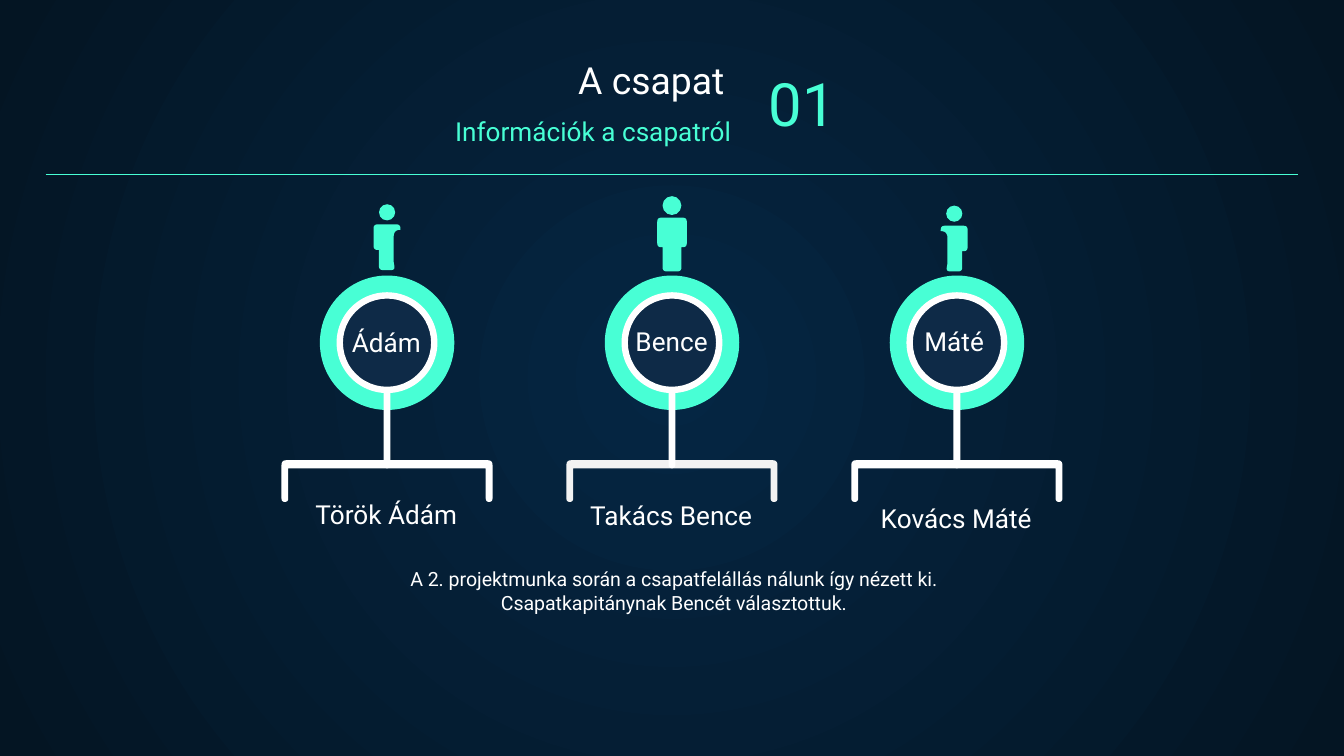
from math import dist
from typing import NamedTuple

from lxml.etree import SubElement
from pptx import Presentation
from pptx.dml.color import RGBColor
from pptx.enum.shapes import MSO_CONNECTOR, MSO_SHAPE
from pptx.enum.text import MSO_ANCHOR, PP_ALIGN
from pptx.oxml.ns import qn
from pptx.util import Inches, Pt


class Theme(NamedTuple):
    mint: str = "48FFD5"
    white: str = "FFFFFF"
    pale: str = "F2F2F2"
    navy: str = "0E2A47"
    glow: str = "052643"
    edge: str = "041523"
    font: str = "Roboto"
    small: float = 10.5
    body: float = 14
    title: float = 20
    number: float = 32
    line: float = 0.75


class Box(NamedTuple):
    left: float
    top: float
    width: float
    height: float


class Corner(NamedTuple):
    x: float
    y: float
    r: float = 0


class Label(NamedTuple):
    words: str
    box: Box
    size: float
    color: str
    align: PP_ALIGN = PP_ALIGN.CENTER
    anchor: MSO_ANCHOR = MSO_ANCHOR.TOP
    wrap: bool = True
    pad: float = 0.1


class Body(NamedTuple):
    outline: list[Corner]
    top: float
    head: float
    gap: float


class Member(NamedTuple):
    nick: str
    name: str
    mid: float
    nick_box: Box
    name_box: Box
    body: Body
    figure_mid: float
    flip: int
    rail: str


THEME = Theme()

FULL = Body([Corner(-0.11, 0, 0.03), Corner(0.11, 0, 0.03), Corner(0.11, 0.22, 0.03),
             Corner(0.07, 0.22), Corner(0.07, 0.4, 0.03), Corner(-0.07, 0.4, 0.03),
             Corner(-0.07, 0.22), Corner(-0.11, 0.22, 0.03)], 1.62, 0.14, 0.02)
PART = Body([Corner(-0.1, 0, 0.03), Corner(0.1, 0, 0.03), Corner(0.1, 0.04),
             Corner(0.05, 0.04, 0.05), Corner(0.05, 0.28), Corner(0.06, 0.34, 0.03),
             Corner(-0.06, 0.34, 0.03), Corner(-0.06, 0.19), Corner(-0.1, 0.19, 0.03)],
            1.67, 0.12, 0.03)

RAIL = [Corner(-0.78, 0, 0.03), Corner(0.78, 0, 0.03), Corner(0.78, 0.3, 0.02),
        Corner(0.74, 0.3, 0.02), Corner(0.74, 0.05), Corner(-0.74, 0.05),
        Corner(-0.74, 0.3, 0.02), Corner(-0.78, 0.3, 0.02)]

TEAM = [
    Member("Ádám", "Török Ádám", 2.88, Box(2.52, 2.38, 0.73, 0.34),
           Box(1.74, 3.7, 2.27, 0.34), PART, 2.88, 1, THEME.white),
    Member("Bence", "Takács Bence", 5, Box(4.63, 2.37, 0.78, 0.34),
           Box(3.86, 3.71, 2.27, 0.34), FULL, 5, 1, THEME.pale),
    Member("Máté", "Kovács Máté", 7.12, Box(6.78, 2.37, 0.73, 0.34),
           Box(5.98, 3.71, 2.27, 0.36), PART._replace(top=1.68), 7.1, -1, THEME.white),
]

LABELS = [
    Label("A csapat", Box(4.11, 0.53, 1.38, 0.33), THEME.title, THEME.white,
          PP_ALIGN.RIGHT, MSO_ANCHOR.BOTTOM),
    Label("Információk a csapatról", Box(3.13, 0.76, 2.41, 0.43), THEME.body,
          THEME.mint, PP_ALIGN.RIGHT),
    Label("01", Box(5.62, 0.47, 0.74, 0.66), THEME.number, THEME.mint,
          PP_ALIGN.LEFT, MSO_ANCHOR.BOTTOM),
    Label("A 2. projektmunka során a csapatfelállás nálunk így nézett ki. "
          "Csapatkapitánynak Bencét választottuk.",
          Box(2.67, 4.12, 4.69, 0.56), THEME.small, THEME.white),
]


def paint(shape, fill: str, line: str | None = None) -> None:
    shape.shadow.inherit = False
    shape.fill.solid()
    shape.fill.fore_color.rgb = RGBColor.from_string(fill)
    if line:
        shape.line.color.rgb = RGBColor.from_string(line)
        shape.line.width = Pt(THEME.line)
    else:
        shape.line.fill.background()


def add_text(slide, label: Label) -> None:
    frame = slide.shapes.add_textbox(*map(Inches, label.box)).text_frame
    look = {"word_wrap": label.wrap, "vertical_anchor": label.anchor,
            "margin_left": Inches(0.1), "margin_right": Inches(0.1),
            "margin_top": Inches(label.pad), "margin_bottom": Inches(label.pad)}
    for key, value in look.items():
        setattr(frame, key, value)
    para = frame.paragraphs[0]
    para.alignment = label.align
    run = para.add_run()
    run.text = label.words
    for key, value in {"name": THEME.font, "size": Pt(label.size)}.items():
        setattr(run.font, key, value)
    run.font.color.rgb = RGBColor.from_string(label.color)


def add_disc(slide, mid: float, center: float, size: float, fill: str,
             line: str | None = None, kind: MSO_SHAPE = MSO_SHAPE.OVAL):
    box = Box(mid - size / 2, center - size / 2, size, size)
    shape = slide.shapes.add_shape(kind, *map(Inches, box))
    paint(shape, fill, line)
    return shape


def bend(before: Corner, turn: Corner, after: Corner) -> list[tuple[float, float]]:
    if not turn.r:
        return [(turn.x, turn.y)]
    ends = []
    for other in (before, after):
        part = turn.r / dist(turn[:2], other[:2])
        ends.append((turn.x + part * (other.x - turn.x), turn.y + part * (other.y - turn.y)))
    steps = [i / 6 for i in range(7)]
    return [tuple((1 - t) ** 2 * a + 2 * t * (1 - t) * c + t ** 2 * b
                  for a, c, b in zip(ends[0], turn[:2], ends[1])) for t in steps]


def add_outline(slide, corners: list[Corner], mid: float, top: float, fill: str,
                line: str | None = None, flip: int = 1) -> None:
    dots = []
    for i, turn in enumerate(corners):
        dots += bend(corners[i - 1], turn, corners[(i + 1) % len(corners)])
    dots = [(Inches(mid + flip * x), Inches(top + y)) for x, y in dots]
    pen = slide.shapes.build_freeform(*dots[0])
    pen.add_line_segments(dots[1:], close=True)
    paint(pen.convert_to_shape(), fill, line)


def add_member(slide, who: Member) -> None:
    add_outline(slide, RAIL, who.mid, 3.43, who.rail, who.rail)
    add_disc(slide, who.mid, 2.55, 0.99, THEME.mint, THEME.mint)
    stem = slide.shapes.add_shape(MSO_SHAPE.ROUNDED_RECTANGLE,
                                  *map(Inches, Box(who.mid - 0.02, 2.48, 0.04, 1)))
    stem.adjustments[0] = 0.5
    paint(stem, THEME.white, THEME.white)
    add_disc(slide, who.mid, 2.55, 0.7, THEME.navy, THEME.white)
    ring = add_disc(slide, who.mid, 2.55, 0.74, THEME.white, THEME.white, MSO_SHAPE.DONUT)
    ring.adjustments[0] = 0.05
    body = who.body
    add_disc(slide, who.figure_mid, body.top - body.gap - body.head / 2, body.head, THEME.mint)
    add_outline(slide, body.outline, who.figure_mid, body.top, THEME.mint, flip=who.flip)
    add_text(slide, Label(who.nick, who.nick_box, THEME.body, THEME.white,
                          PP_ALIGN.LEFT, wrap=False, pad=0.05))
    add_text(slide, Label(who.name, who.name_box, THEME.body, THEME.white,
                          anchor=MSO_ANCHOR.BOTTOM))


def set_back(slide) -> None:
    fill = slide.background.fill
    fill.gradient()
    for stop, spot, color in zip(fill.gradient_stops, (0, 1), (THEME.glow, THEME.edge)):
        stop.position = spot
        stop.color.rgb = RGBColor.from_string(color)
    grad = slide.element.find(".//" + qn("a:gradFill"))
    grad.remove(grad.find(qn("a:lin")))
    shade = SubElement(grad, qn("a:path"), {"path": "circle"})
    SubElement(shade, qn("a:fillToRect"), dict.fromkeys("ltrb", "50000"))


def add_rule(slide) -> None:
    rule = slide.shapes.add_connector(MSO_CONNECTOR.STRAIGHT,
                                      *map(Inches, (0.34, 1.3, 9.66, 1.3)))
    rule.line.color.rgb = RGBColor.from_string(THEME.mint)
    rule.line.width = Pt(THEME.line)
    SubElement(rule.element.spPr, qn("a:effectLst"))


def main() -> None:
    deck = Presentation()
    deck.slide_width = Inches(10)
    deck.slide_height = deck.slide_width * 9 // 16
    slide = deck.slides.add_slide(deck.slide_layouts[6])
    set_back(slide)
    add_rule(slide)
    for label in LABELS:
        add_text(slide, label)
    for who in TEAM:
        add_member(slide, who)
    deck.save("out.pptx")


if __name__ == "__main__":
    main()
